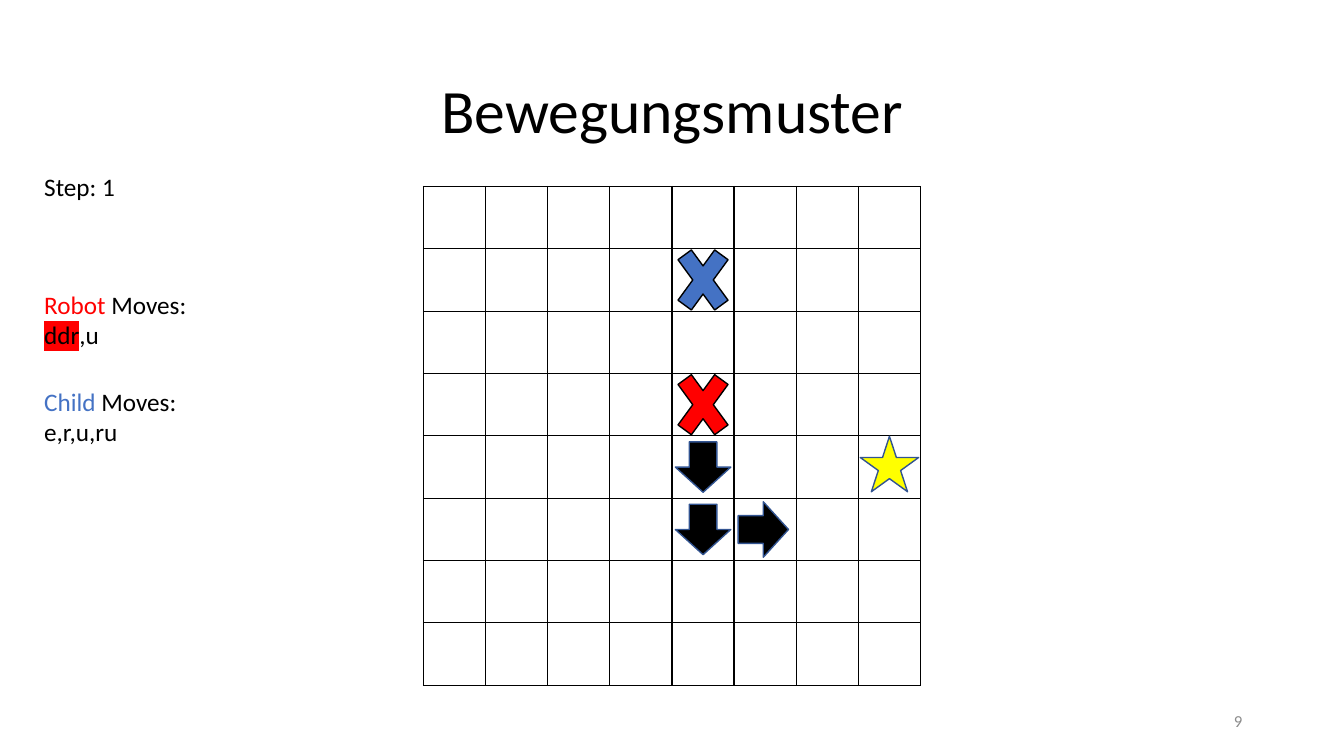
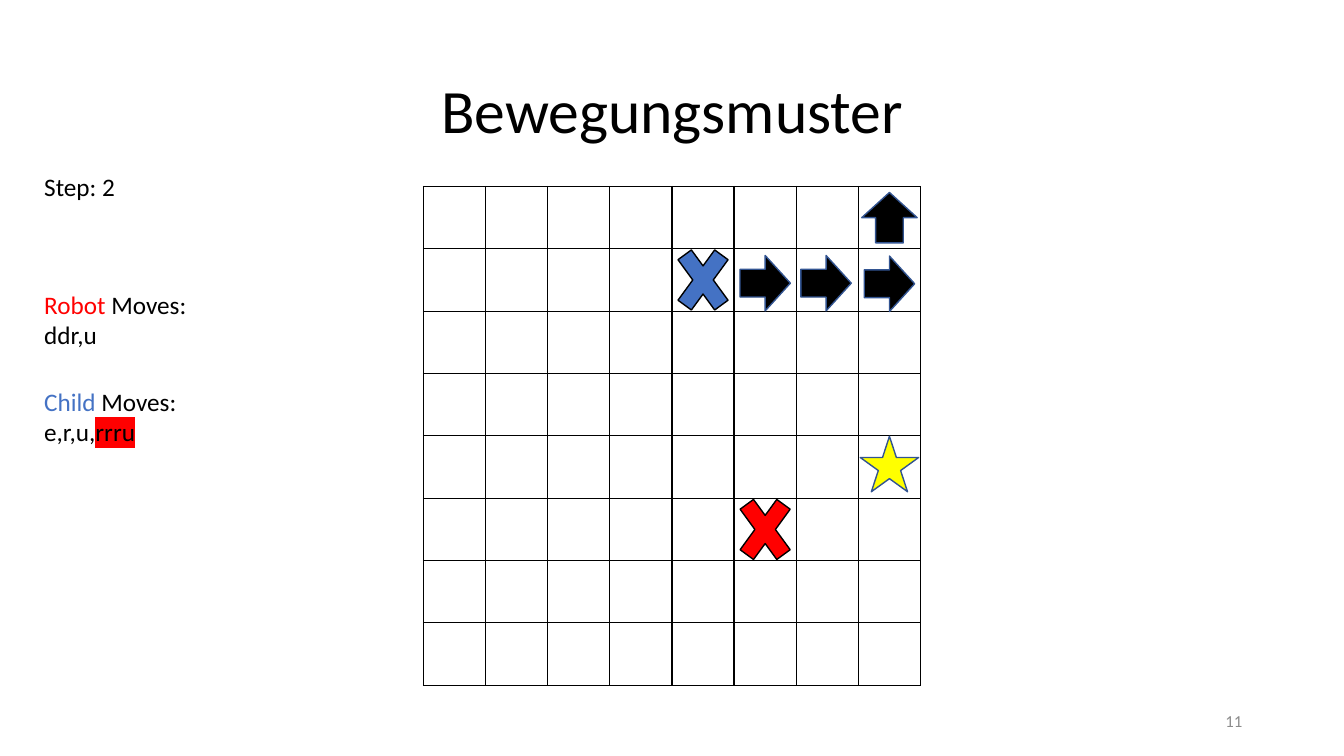
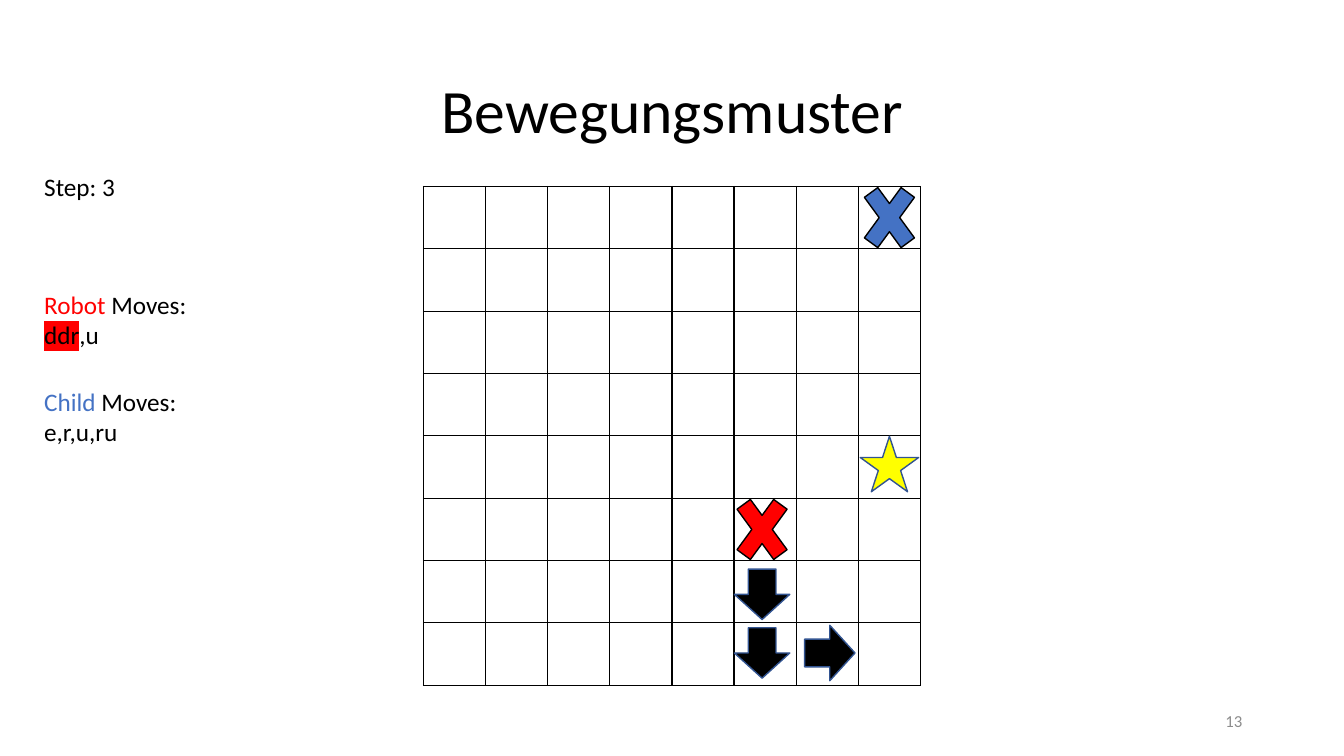
from lxml import etree
from pptx import Presentation
from pptx import util as u
from pptx.dml.color import RGBColor
from pptx.enum import shapes, text
from pptx.oxml.ns import qn

FONT = "Calibri"
BLACK, RED, BLUE, YELLOW = "000000", "FF0000", "4472C4", "FFFF00"
GREY, OUTLINE = "8C8C8C", "325491"

WIDTH, HEIGHT = 13.33, 7.5
CELLS = 8
BOARD_LEFT, BOARD_TOP, BOARD_WIDTH, BOARD_HEIGHT = 4.2, 1.85, 4.93, 4.95
COLUMN, ROW = BOARD_WIDTH / CELLS, BOARD_HEIGHT / CELLS
NOTE_LEFT = 0.34
TURN = {"r": 0, "d": 90, "u": 270}

# Pieces are (column, row) on the board; arrows are (direction, column, row).
STEPS = [
    dict(page=9, step=1, robot=(4, 3), child=(4, 1),
         robot_moves=[("ddr", RED), (",u", None)],
         child_moves=[("e,r,u,ru", None)],
         arrows=[("r", 4.97, 5), ("d", 4, 5), ("d", 4, 4)]),
    dict(page=11, step=2, robot=(5, 5), child=(4, 1),
         robot_moves=[("ddr,u", None)],
         child_moves=[("e,r,u,", None), ("rrru", RED)],
         arrows=[("r", 5, 1.05), ("r", 5.98, 1.05), ("r", 7, 1.06), ("u", 7, 0)]),
    dict(page=13, step=3, robot=(4.95, 5), child=(7, 0),
         robot_moves=[("ddr", RED), (",u", None)],
         child_moves=[("e,r,u,ru", None)],
         arrows=[("d", 4.95, 6.04), ("d", 4.95, 6.98), ("r", 6.04, 6.98)]),
]


def rgb(value):
    return RGBColor.from_string(value)


def inches(*lengths):
    return [u.Inches(length) for length in lengths]


def format_span(span, size, color, highlight=None):
    span.font.size = u.Pt(size)
    span.font.color.rgb = rgb(color)
    if highlight:
        mark = etree.SubElement(span.font._element, qn("a:highlight"))
        etree.SubElement(mark, qn("a:srgbClr"), val=highlight)
    span.font.name = FONT


def add_title(page, words):
    title = page.shapes.title
    title.left, title.top, title.width, title.height = inches(0.92, 0.4, 11.5, 1.45)
    title.text_frame.text = words
    title.text_frame.vertical_anchor = text.MSO_ANCHOR.MIDDLE
    para = title.text_frame.paragraphs[0]
    para.alignment = text.PP_ALIGN.CENTER
    para.line_spacing = 0.9
    format_span(para.runs[0], 44, BLACK)


def add_page_number(page, number):
    box = page.shapes.add_textbox(*inches(9.42, 6.95, 3, 0.4))
    box.text_frame.word_wrap = True
    box.text_frame.vertical_anchor = text.MSO_ANCHOR.MIDDLE
    para = box.text_frame.paragraphs[0]
    para.text = str(number)
    para.alignment = text.PP_ALIGN.RIGHT
    format_span(para.runs[0], 12, GREY)


def add_note(page, top, width, height, lines):
    """Add a text box; each line is a list of (words, colour, highlight)."""
    box = page.shapes.add_textbox(*inches(NOTE_LEFT, top, width, height))
    frame = box.text_frame
    frame.word_wrap = False
    frame.auto_size = text.MSO_AUTO_SIZE.SHAPE_TO_FIT_TEXT
    for index, line in enumerate(lines):
        para = frame.add_paragraph() if index else frame.paragraphs[0]
        for words, color, highlight in line:
            span = para.add_run()
            span.text = words
            format_span(span, 18, color, highlight)


def add_moves(page, top, width, player, color, moves):
    heading = [(player, color, None), (" Moves:", BLACK, None)]
    sequence = [(words, BLACK, highlight) for words, highlight in moves]
    add_note(page, top, width, 0.71, [heading, sequence])


def set_borders(cell):
    properties = cell._tc.get_or_add_tcPr()
    for side in ("lnL", "lnR", "lnT", "lnB"):
        line = etree.SubElement(properties, qn(f"a:{side}"), w=str(u.Pt(1)))
        fill = etree.SubElement(line, qn("a:solidFill"))
        etree.SubElement(fill, qn("a:srgbClr"), val=BLACK)


def add_board(page):
    place = inches(BOARD_LEFT, BOARD_TOP, BOARD_WIDTH, BOARD_HEIGHT)
    board = page.shapes.add_table(CELLS, CELLS, *place).table
    board.first_row = board.horz_banding = False
    for cell in board.iter_cells():
        set_borders(cell)
        cell.fill.background()


def add_piece(page, kind, column, row, width, height, fill, line=OUTLINE):
    """Add a shape centred on a board cell."""
    left = BOARD_LEFT + (column + 0.5) * COLUMN - width / 2
    top = BOARD_TOP + (row + 0.5) * ROW - height / 2
    piece = page.shapes.add_shape(kind, *inches(left, top, width, height))
    piece.shadow.inherit = False
    piece.fill.solid()
    piece.fill.fore_color.rgb = rgb(fill)
    piece.line.color.rgb = rgb(line)
    piece.line.width = u.Pt(1)
    return piece


def add_player(page, cell, color):
    add_piece(page, shapes.MSO_SHAPE.MATH_MULTIPLY, *cell, 0.7, 0.96, color, BLACK)


def add_arrow(page, direction, column, row):
    arrow = add_piece(page, shapes.MSO_SHAPE.RIGHT_ARROW, column, row, 0.5, 0.55, BLACK)
    arrow.rotation = TURN[direction]


def add_step(deck, data):
    page = deck.slides.add_slide(deck.slide_layouts.get_by_name("Title Only"))
    add_title(page, "Bewegungsmuster")
    add_board(page)
    add_page_number(page, data["page"])
    add_note(page, 1.65, 0.91, 0.4, [[(f"Step: {data['step']}", BLACK, None)]])
    add_moves(page, 2.82, 1.63, "Robot", RED, data["robot_moves"])
    add_moves(page, 3.78, 1.53, "Child", BLUE, data["child_moves"])
    add_player(page, data["robot"], RED)
    add_player(page, data["child"], BLUE)
    add_piece(page, shapes.MSO_SHAPE.STAR_5_POINT, 7, 3.95, 0.58, 0.55, YELLOW)
    for arrow in data["arrows"]:
        add_arrow(page, *arrow)


def main():
    deck = Presentation()
    deck.slide_width, deck.slide_height = inches(WIDTH, HEIGHT)
    for data in STEPS:
        add_step(deck, data)
    deck.save("out.pptx")


if __name__ == "__main__":
    main()
